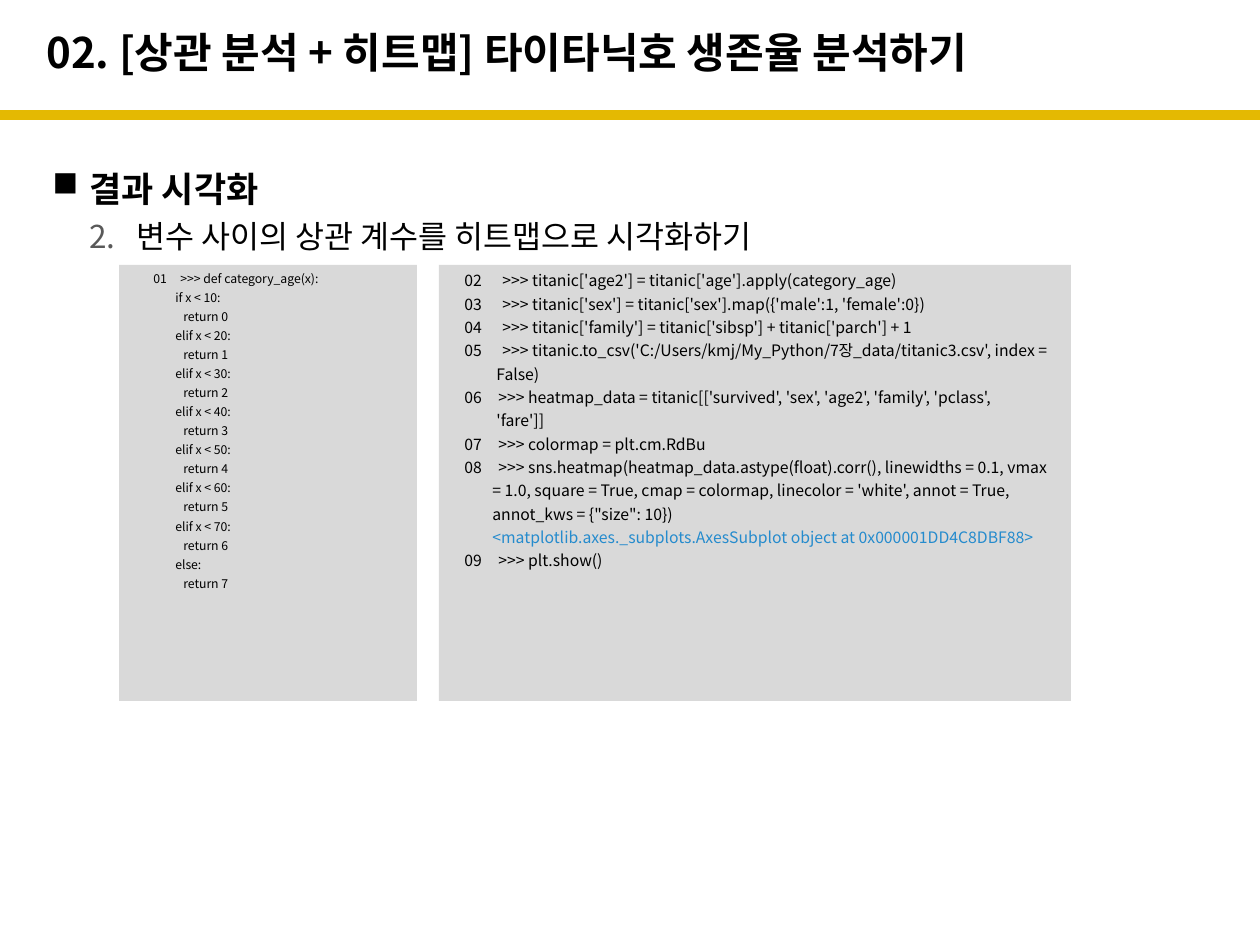
from dataclasses import dataclass

from lxml import etree
from pptx import Presentation
from pptx import util as u
from pptx.dml.color import RGBColor
from pptx.enum import shapes, text
from pptx.oxml import ns

PX = u.Inches(1) / 126  # one px in EMU
FONT = "Noto Sans CJK KR"
BLACK = RGBColor(0x00, 0x00, 0x00)
GRAY = RGBColor(0x59, 0x59, 0x59)
PANEL = RGBColor(0xD9, 0xD9, 0xD9)
GOLD = RGBColor(0xE4, 0xB9, 0x02)
BLUE = RGBColor(0x25, 0x8B, 0xCD)


@dataclass(frozen=True)
class Box:
    left: int
    top: int
    width: int
    height: int

    def emu(self) -> tuple[int, ...]:
        return tuple(px(v) for v in (self.left, self.top, self.width, self.height))


@dataclass(frozen=True)
class CodeLine:
    code: str
    offset: int  # from the number column
    number: str = ""
    color: RGBColor = BLACK


@dataclass(frozen=True)
class CodePanel:
    panel: Box
    listing: Box
    size: int
    lines: list[CodeLine]


def px(value: int) -> int:
    return round(value * PX)


def add_frame(slide, box: Box):
    frame = slide.shapes.add_textbox(*box.emu()).text_frame
    frame.word_wrap = True
    return frame


def next_paragraph(frame, first: bool):
    return frame.paragraphs[0] if first else frame.add_paragraph()


def style(paragraph, size: int, color: RGBColor = BLACK, bold: bool = False) -> None:
    font = paragraph.font
    font.size, font.bold, font.name = u.Pt(size), bold, FONT
    font.color.rgb = color
    latin = font._element.find(ns.qn("a:latin"))
    east_asian = etree.Element(ns.qn("a:ea"), typeface=FONT)
    latin.addnext(east_asian)


def indent(paragraph, margin: int, first: int) -> None:
    properties = paragraph._p.get_or_add_pPr()
    properties.set("marL", str(px(margin)))
    properties.set("indent", str(px(first)))


def bullet(paragraph, color: RGBColor, tag: str, **settings: str) -> None:
    """Put the bullet ahead of the paragraph's font settings."""
    defaults = paragraph._p.pPr.find(ns.qn("a:defRPr"))
    tint = etree.Element(ns.qn("a:buClr"))
    etree.SubElement(tint, ns.qn("a:srgbClr"), val=str(color))
    defaults.addprevious(tint)
    defaults.addprevious(etree.Element(ns.qn(tag), **settings))


def add_code(slide, part: CodePanel) -> None:
    panel = slide.shapes.add_shape(shapes.MSO_SHAPE.RECTANGLE, *part.panel.emu())
    panel.shadow.inherit = False
    panel.fill.solid()
    panel.fill.fore_color.rgb = PANEL
    panel.line.fill.background()

    frame = add_frame(slide, part.listing)
    for i, line in enumerate(part.lines):
        paragraph = next_paragraph(frame, i == 0)
        paragraph.text = f"{line.number}\t{line.code}" if line.number else line.code
        paragraph.space_before, paragraph.space_after = u.Pt(1.5), u.Pt(1)
        style(paragraph, part.size, line.color)
        indent(paragraph, 36 + line.offset, -line.offset if line.number else 0)


def age_lines() -> list[CodeLine]:
    lines = [CodeLine(">>> def category_age(x):", 27, "01")]
    for group in range(8):
        keyword = "if" if group == 0 else "elif"
        test = f"{keyword} x < {10 * (group + 1)}:" if group < 7 else "else:"
        lines += [CodeLine(test, 22), CodeLine(f"return {group}", 30)]
    return lines


HEATMAP_LINES = [
    CodeLine(">>> titanic['age2'] = titanic['age'].apply(category_age)", 38, "02"),
    CodeLine(">>> titanic['sex'] = titanic['sex'].map({'male':1, 'female':0})", 38, "03"),
    CodeLine(">>> titanic['family'] = titanic['sibsp'] + titanic['parch'] + 1", 38, "04"),
    CodeLine(">>> titanic.to_csv('C:/Users/kmj/My_Python/7장_data/titanic3.csv', index =", 38, "05"),
    CodeLine("False)", 32),
    CodeLine(">>> heatmap_data = titanic[['survived', 'sex', 'age2', 'family', 'pclass',", 34, "06"),
    CodeLine("'fare']]", 32),
    CodeLine(">>> colormap = plt.cm.RdBu", 34, "07"),
    CodeLine(">>> sns.heatmap(heatmap_data.astype(float).corr(), linewidths = 0.1, vmax", 34, "08"),
    CodeLine("= 1.0, square = True, cmap = colormap, linecolor = 'white', annot = True,", 28),
    CodeLine("annot_kws = {\"size\": 10})", 28),
    CodeLine("<matplotlib.axes._subplots.AxesSubplot object at 0x000001DD4C8DBF88>", 28, color=BLUE),
    CodeLine(">>> plt.show()", 34, "09"),
]

CODE_PANELS = [
    CodePanel(Box(119, 265, 298, 436), Box(105, 265, 318, 339), 7, age_lines()),
    CodePanel(Box(439, 265, 632, 436), Box(416, 265, 677, 330), 9, HEATMAP_LINES),
]


def main() -> None:
    deck = Presentation()
    deck.slide_width, deck.slide_height = px(1260), px(945)
    slide = deck.slides.add_slide(deck.slide_layouts[6])

    # Rule under the title
    rule = slide.shapes.add_connector(
        shapes.MSO_CONNECTOR.STRAIGHT, 0, px(115), px(1260), px(115))
    rule.line.color.rgb = GOLD
    rule.line.width = u.Pt(6)
    etree.SubElement(rule._element.spPr, ns.qn("a:effectLst"))

    # Heading and numbered step
    outline = add_frame(slide, Box(40, 140, 1016, 611))
    heading = next_paragraph(outline, True)
    heading.text = "결과 시각화"
    heading.line_spacing = 1.5
    style(heading, 20, bold=True)
    indent(heading, 37, -37)
    bullet(heading, BLACK, "a:buChar", char="■")

    step = next_paragraph(outline, False)
    step.text = "변수 사이의 상관 계수를 히트맵으로 시각화하기"
    step.level = 1
    step.space_before, step.space_after = u.Pt(4.5), u.Pt(4)
    style(step, 18)
    indent(step, 84, -47)
    bullet(step, GRAY, "a:buAutoNum", type="arabicPeriod", startAt="2")

    # Title
    title = add_frame(slide, Box(34, 14, 1072, 76))
    title.vertical_anchor = text.MSO_ANCHOR.MIDDLE
    topic = next_paragraph(title, True)
    topic.text = "02. [상관 분석 + 히트맵] 타이타닉호 생존율 분석하기"
    style(topic, 24, bold=True)

    # Code listings
    for part in CODE_PANELS:
        add_code(slide, part)

    deck.save("out.pptx")


if __name__ == "__main__":
    main()
